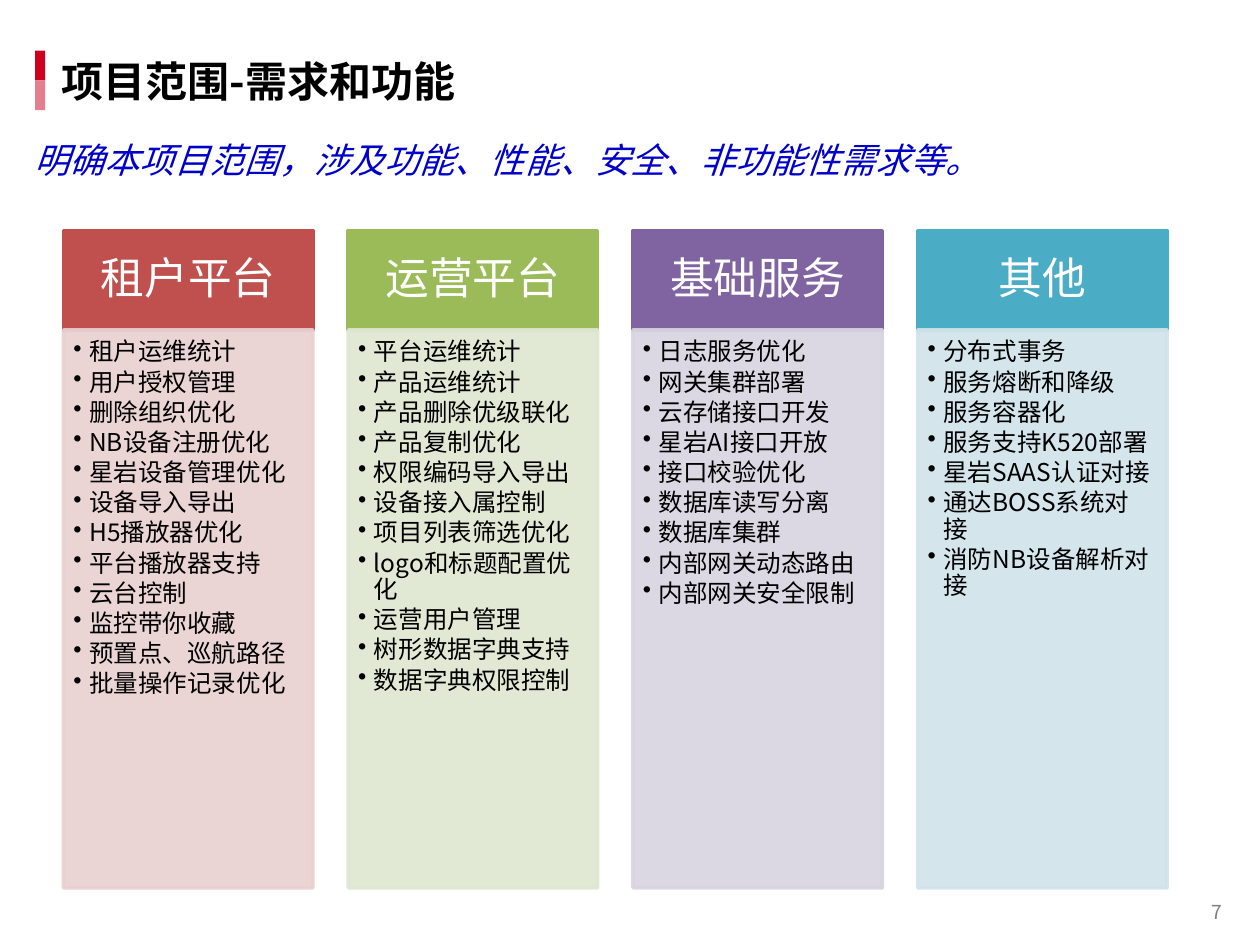
from dataclasses import dataclass

import lxml.etree
import pptx
import pptx.dml.color
import pptx.enum.shapes
import pptx.enum.text
import pptx.oxml.ns
import pptx.util
from pptx.util import Cm

FONT = "Noto Sans CJK SC"
COLORS = {
    "accent": "CE001F", "accent_light": "E57E8F",
    "black": "000000", "white": "FFFFFF", "blue": "0000CC", "gray": "808080",
    "red": "C0504D", "red_light": "E8D0D0",
    "green": "9BBB59", "green_light": "DEE7D1",
    "purple": "8064A2", "purple_light": "D8D3E0",
    "teal": "4BACC6", "teal_light": "D0E3EA",
}
ALIGN = pptx.enum.text.PP_ALIGN
ANCHOR = pptx.enum.text.MSO_ANCHOR

FIRST_COLUMN_LEFT, COLUMN_STEP, COLUMN_WIDTH = 1.28, 5.74, 5.03
HEADER_TOP, HEADER_HEIGHT, LIST_HEIGHT = 4.65, 2.0, 11.25


@dataclass(frozen=True)
class Box:
    """Place and size in centimetres."""
    left: float
    top: float
    width: float
    height: float


@dataclass(frozen=True)
class ScopeColumn:
    heading: str
    color: str
    items: tuple[str, ...]


COLUMNS = (
    ScopeColumn("租户平台", "red", (
        "租户运维统计", "用户授权管理", "删除组织优化", "NB设备注册优化",
        "星岩设备管理优化", "设备导入导出", "H5播放器优化", "平台播放器支持",
        "云台控制", "监控带你收藏", "预置点、巡航路径", "批量操作记录优化")),
    ScopeColumn("运营平台", "green", (
        "平台运维统计", "产品运维统计", "产品删除优级联化", "产品复制优化",
        "权限编码导入导出", "设备接入属控制", "项目列表筛选优化",
        "logo和标题配置优化", "运营用户管理", "树形数据字典支持",
        "数据字典权限控制")),
    ScopeColumn("基础服务", "purple", (
        "日志服务优化", "网关集群部署", "云存储接口开发", "星岩AI接口开放",
        "接口校验优化", "数据库读写分离", "数据库集群", "内部网关动态路由",
        "内部网关安全限制")),
    ScopeColumn("其他", "teal", (
        "分布式事务", "服务熔断和降级", "服务容器化", "服务支持K520部署",
        "星岩SAAS认证对接", "通达BOSS系统对接", "消防NB设备解析对接")),
)


def rgb(name: str) -> pptx.dml.color.RGBColor:
    return pptx.dml.color.RGBColor.from_string(COLORS[name])


def place(shape, box: Box) -> None:
    shape.left, shape.top = Cm(box.left), Cm(box.top)
    shape.width, shape.height = Cm(box.width), Cm(box.height)


def set_frame(frame, anchor, insets: tuple[float, float, float, float]) -> None:
    """Set wrapping, anchor and insets (left, top, right, bottom, in cm)."""
    frame.word_wrap = True
    frame.auto_size = pptx.enum.text.MSO_AUTO_SIZE.NONE
    frame.vertical_anchor = anchor
    (frame.margin_left, frame.margin_top,
     frame.margin_right, frame.margin_bottom) = map(Cm, insets)


def add_run(paragraph, text: str, size: float, color: str,
            bold: bool = False, italic: bool = False) -> None:
    run = paragraph.add_run()
    run.text = text
    font = run.font
    font.name, font.size = FONT, pptx.util.Pt(size)
    font.bold, font.italic = bold, italic
    font.color.rgb = rgb(color)
    properties = run._r.get_or_add_rPr()
    east_asian = lxml.etree.SubElement(properties, pptx.oxml.ns.qn("a:ea"))
    east_asian.set("typeface", FONT)


def set_bullet(paragraph, character: str | None, indent: float = 0) -> None:
    properties = paragraph._p.get_or_add_pPr()
    properties.set("marL", str(Cm(indent)))
    properties.set("indent", str(-Cm(indent)))
    tag = "a:buChar" if character else "a:buNone"
    bullet = lxml.etree.SubElement(properties, pptx.oxml.ns.qn(tag))
    if character:
        bullet.set("char", character)


def add_rectangle(slide, box: Box, color: str, outlined: bool = False,
                  opacity: int = 100):
    shape = slide.shapes.add_shape(
        pptx.enum.shapes.MSO_SHAPE.RECTANGLE,
        Cm(box.left), Cm(box.top), Cm(box.width), Cm(box.height))
    shape.shadow.inherit = False
    shape.fill.solid()
    shape.fill.fore_color.rgb = rgb(color)
    if outlined:
        shape.line.color.rgb = rgb(color)
        shape.line.width = pptx.util.Pt(2)
    else:
        shape.line.fill.background()
    if opacity < 100:
        for element in list(shape._element.spPr.iter(pptx.oxml.ns.qn("a:srgbClr"))):
            alpha = lxml.etree.SubElement(element, pptx.oxml.ns.qn("a:alpha"))
            alpha.set("val", str(opacity * 1000))
    return shape


def add_column(slide, column: ScopeColumn, left: float) -> None:
    header = add_rectangle(
        slide, Box(left, HEADER_TOP, COLUMN_WIDTH, HEADER_HEIGHT),
        column.color, outlined=True)
    set_frame(header.text_frame, ANCHOR.MIDDLE, (0.48, 0.28, 0.48, 0.28))
    heading = header.text_frame.paragraphs[0]
    heading.alignment = ALIGN.CENTER
    heading.line_spacing = 0.9
    add_run(heading, column.heading, 25, "white")

    panel = add_rectangle(
        slide, Box(left, HEADER_TOP + HEADER_HEIGHT, COLUMN_WIDTH, LIST_HEIGHT),
        f"{column.color}_light", outlined=True, opacity=90)
    frame = panel.text_frame
    set_frame(frame, ANCHOR.TOP, (0.2, 0.2, 0.28, 0.3))
    for index, item in enumerate(column.items):
        paragraph = frame.add_paragraph() if index else frame.paragraphs[0]
        paragraph.alignment = ALIGN.LEFT
        paragraph.line_spacing = 0.9
        paragraph.space_after = pptx.util.Pt(2.1)
        set_bullet(paragraph, "•", 0.32)
        add_run(paragraph, item, 14, "black")


def add_title_and_summary(slide) -> None:
    title, body = slide.placeholders
    place(title, Box(0.91, 1.02, 11.81, 1.22))
    set_frame(title.text_frame, ANCHOR.MIDDLE, (0.33, 0.18, 0.33, 0.18))
    paragraph = title.text_frame.paragraphs[0]
    paragraph.alignment = ALIGN.LEFT
    add_run(paragraph, "项目范围-需求和功能", 24, "black", bold=True)

    place(body, Box(0.44, 2.24, 23.9, 2.39))
    set_frame(body.text_frame, ANCHOR.TOP, (0.25, 0.13, 0.25, 0.13))
    paragraph = body.text_frame.paragraphs[0]
    paragraph.line_spacing = 1.5
    paragraph.space_before = pptx.util.Pt(4)
    set_bullet(paragraph, None)
    add_run(paragraph, "明确本项目范围，涉及功能、性能、安全、非功能性需求等。",
            20, "blue", italic=True)


def add_page_number(slide, number: int) -> None:
    text_box = slide.shapes.add_textbox(Cm(23.72), Cm(17.89), Cm(1.63), Cm(0.99))
    set_frame(text_box.text_frame, ANCHOR.MIDDLE, (0.33, 0.18, 0.33, 0.18))
    paragraph = text_box.text_frame.paragraphs[0]
    paragraph.alignment = ALIGN.CENTER
    add_run(paragraph, str(number), 11, "gray")


def main() -> None:
    presentation = pptx.Presentation()
    presentation.slide_width, presentation.slide_height = Cm(25.4), Cm(19.05)
    slide = presentation.slides.add_slide(presentation.slide_layouts[1])
    for index, color in enumerate(("accent", "accent_light")):
        add_rectangle(slide, Box(0.71, 1.02 + 0.6 * index, 0.2, 0.6), color)
    add_title_and_summary(slide)
    add_page_number(slide, 7)
    for index, column in enumerate(COLUMNS):
        add_column(slide, column, FIRST_COLUMN_LEFT + COLUMN_STEP * index)
    presentation.save("out.pptx")


if __name__ == "__main__":
    main()
